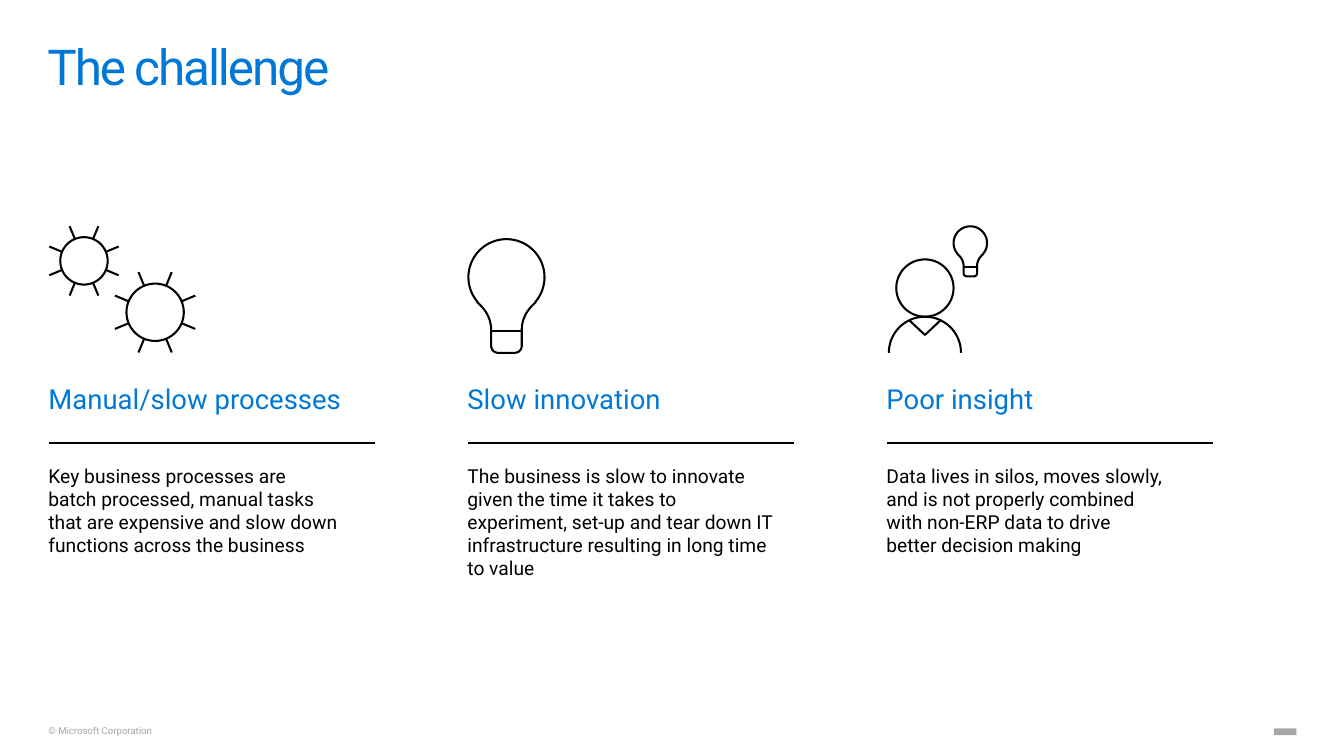
from dataclasses import dataclass
from math import cos, radians, sin

from lxml.etree import SubElement
from pptx import Presentation
from pptx.dml.color import RGBColor
from pptx.enum.shapes import MSO_CONNECTOR, MSO_SHAPE
from pptx.enum.text import MSO_ANCHOR, MSO_AUTO_SIZE, PP_ALIGN
from pptx.oxml.ns import qn
from pptx.util import Inches, Pt


@dataclass(frozen=True)
class Theme:
    font: str = "Roboto"
    blue: RGBColor = RGBColor(0x00, 0x78, 0xD7)
    black: RGBColor = RGBColor(0x00, 0x00, 0x00)
    gray: RGBColor = RGBColor(0xA6, 0xA6, 0xA6)
    title: Pt = Pt(36)
    heading: Pt = Pt(20)
    body: Pt = Pt(14)
    footer: Pt = Pt(7)
    stroke: Pt = Pt(1.5)


THEME = Theme()
LEFT, PITCH, RULE_WIDTH = 0.49, 4.24, 3.29

# Heading, body text, body width and body height of each column
COLUMNS = [
    ("Manual/slow processes",
     "Key business processes are\nbatch processed, manual tasks\n"
     "that are expensive and slow down functions across the business",
     3.2, 1.28),
    ("Slow innovation",
     "The business is slow to innovate given the time it takes to experiment, "
     "set-up and tear down IT infrastructure resulting in long time to value",
     3.3, 1.55),
    ("Poor insight",
     "Data lives in silos, moves slowly, and is not properly combined "
     "with non-ERP data to drive\nbetter decision making",
     3.07, 1.3),
]


# Text
def fill_text(sp, text, size, color, insets=(0, 0, 0, 0), spacing=None, wrap=True):
    tf = sp.text_frame
    tf.auto_size = MSO_AUTO_SIZE.NONE
    tf.word_wrap = wrap
    tf.vertical_anchor = MSO_ANCHOR.TOP
    tf.margin_left, tf.margin_top, tf.margin_right, tf.margin_bottom = map(Inches, insets)
    p = tf.paragraphs[0]
    p.text = text
    p.alignment = PP_ALIGN.LEFT
    p.line_spacing = spacing
    p.font.name, p.font.size, p.font.color.rgb = THEME.font, size, color
    return p


def add_text(slide, box, *args, **kwargs):
    return fill_text(slide.shapes.add_textbox(*map(Inches, box)), *args, **kwargs)


def add_title(slide, text):
    sp = slide.shapes.title
    sp.left, sp.top, sp.width, sp.height = map(Inches, (0.48, 0.25, 12.65, 0.85))
    p = fill_text(sp, text, THEME.title, THEME.blue, (0, 0.18, 0, 0), 0.9)
    for r in p.runs:
        r.font.name, r.font.size = THEME.font, THEME.title
        r.font._element.set("spc", "-150")


# Lines and outlines
def add_rule(slide, x, y, width):
    line = slide.shapes.add_connector(
        MSO_CONNECTOR.STRAIGHT, Inches(x), Inches(y), Inches(x + width), Inches(y))
    line.line.color.rgb, line.line.width = THEME.black, THEME.stroke
    SubElement(line._element.spPr, qn("a:effectLst"))


def arc(cx, cy, radius, start=0, end=360, steps=60):
    angles = [radians(start + (end - start) * i / steps) for i in range(steps + 1)]
    return [(cx + radius * cos(a), cy + radius * sin(a)) for a in angles]


def curve(start, control, end, steps=12):
    ts = [i / steps for i in range(steps + 1)]
    return [tuple((1 - t) ** 2 * a + 2 * t * (1 - t) * b + t * t * c
                  for a, b, c in zip(start, control, end)) for t in ts]


def add_outline(slide, contours):
    """Draw several polylines as one unfilled shape."""
    contours = [[(Inches(x), Inches(y)) for x, y in contour] for contour in contours]
    builder = slide.shapes.build_freeform(*contours[0][0])
    for i, (first, *rest) in enumerate(contours):
        if i:
            builder.move_to(*first)
        builder.add_line_segments(rest, close=rest[-1] == first)
    sp = builder.convert_to_shape()
    sp.shadow.inherit = False
    sp.fill.background()
    sp.line.color.rgb, sp.line.width = THEME.black, THEME.stroke


# Icons
def gear(cx, cy, radius, reach):
    spokes = zip(arc(cx, cy, radius, 22.5, 382.5, 8)[:-1],
                 arc(cx, cy, reach, 22.5, 382.5, 8)[:-1])
    return [arc(cx, cy, radius), *map(list, spokes)]


def bulb(left, top, scale=1):
    middle = 0.385
    side = (curve((0.09, 0.64), (0.22, 0.75), (0.23, 0.9))
            + arc(0.3, 1.08, 0.07, 180, 90, 8))
    mirrored = [(2 * middle - x, y) for x, y in reversed(side)]
    glass = arc(middle, middle, middle, 401, 139)
    contours = [side + mirrored + glass + side[:1], [(0.23, 0.93), (0.54, 0.93)]]
    return [[(left + scale * x, top + scale * y) for x, y in c] for c in contours]


def person(cx):
    return [arc(cx, 2.915, 0.29),
            arc(cx, 3.57, 0.365, 180, 360),
            [(cx - 0.16, 3.24), (cx, 3.39), (cx + 0.16, 3.24)]]


def add_icons(slide):
    add_outline(slide, gear(0.85, 2.64, 0.24, 0.38) + gear(1.57, 3.16, 0.29, 0.44))
    add_outline(slide, bulb(4.74, 2.42))
    add_outline(slide, person(9.36))
    add_outline(slide, bulb(9.65, 2.29, 0.44))


# Slide parts
def add_column(slide, x, heading, body, width, height):
    insets = (0, 0.16, 0.2, 0.16)
    add_text(slide, (x, 3.74, 3.58, 0.64), heading, THEME.heading, THEME.blue, insets, 0.9)
    add_text(slide, (x, 4.54, width, height), body, THEME.body, THEME.black, insets)
    add_rule(slide, x + 0.01, 4.48, RULE_WIDTH)


def add_footer(slide):
    add_text(slide, (LEFT, 7.35, 1.08, 0.11), "© Microsoft Corporation",
             THEME.footer, THEME.gray, spacing=0.9, wrap=False)
    mark = slide.shapes.add_shape(
        MSO_SHAPE.RECTANGLE, *map(Inches, (12.89, 7.37, 0.23, 0.07)))
    mark.shadow.inherit = False
    mark.fill.solid()
    mark.fill.fore_color.rgb = THEME.gray
    mark.line.fill.background()


def main():
    prs = Presentation()
    prs.slide_width, prs.slide_height = Inches(13.6), Inches(7.65)
    slide = prs.slides.add_slide(prs.slide_layouts[5])
    add_title(slide, "The challenge")
    for i, column in enumerate(COLUMNS):
        add_column(slide, LEFT + i * PITCH, *column)
    add_icons(slide)
    add_footer(slide)
    prs.save("out.pptx")


if __name__ == "__main__":
    main()
